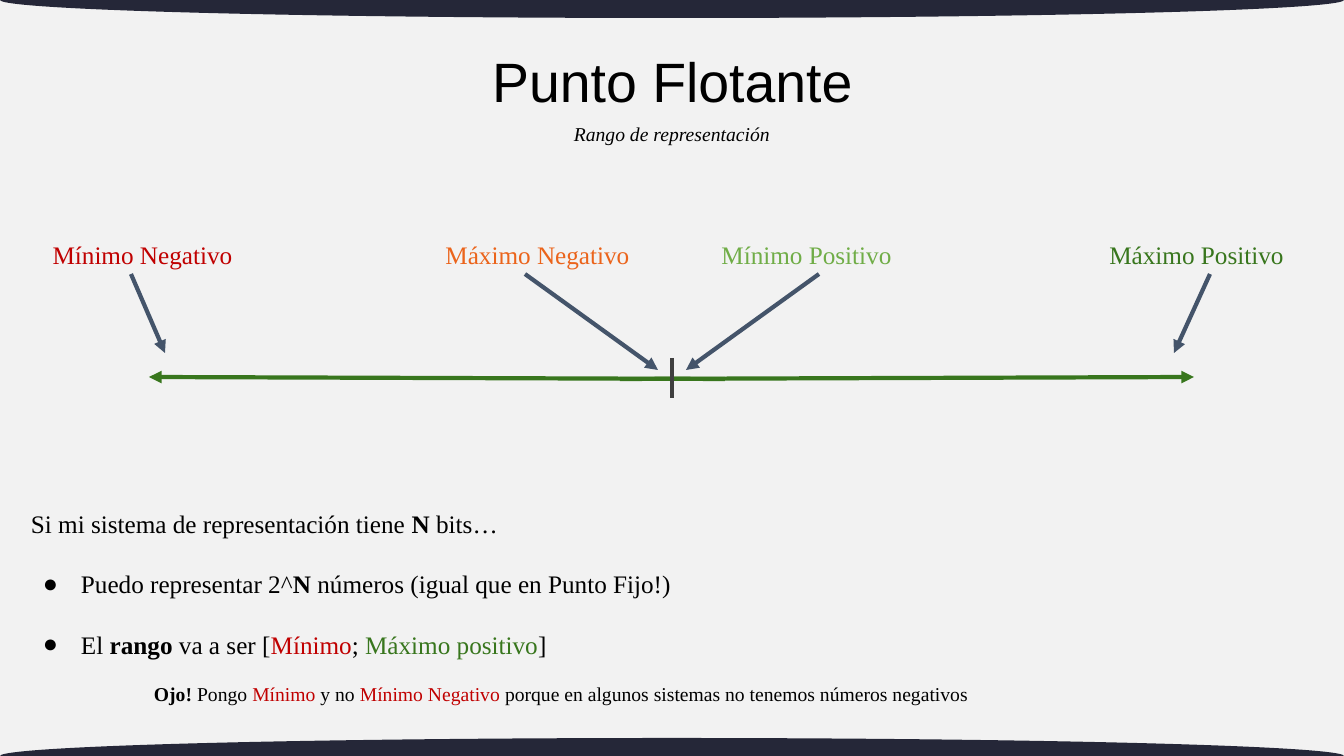
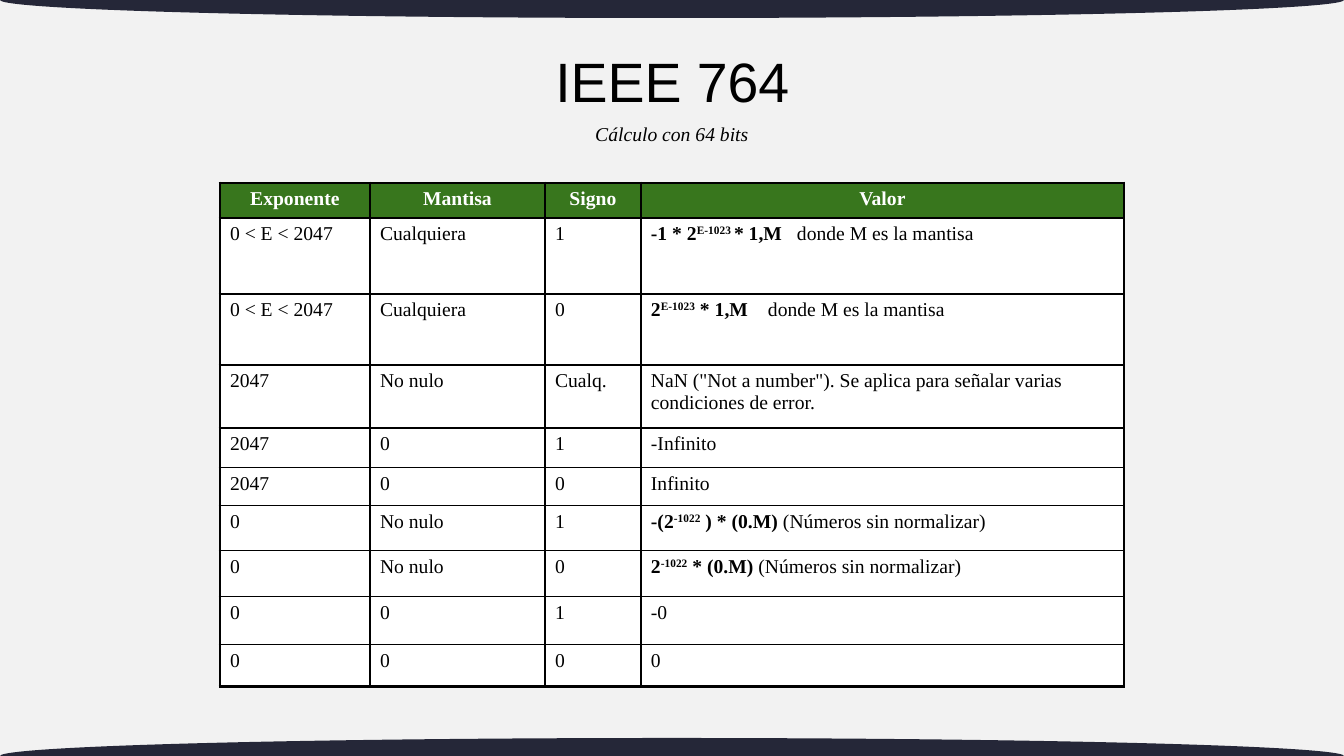
from lxml.etree import SubElement
from pptx import Presentation
from pptx.dml.color import RGBColor
from pptx.enum.shapes import MSO_CONNECTOR, MSO_SHAPE
from pptx.enum.text import MSO_ANCHOR, PP_ALIGN
from pptx.oxml.ns import qn
from pptx.util import Pt

PX = 9071  # EMU in one px
WIDTH, HEIGHT = 1344, 756
SANS, SERIF = "Arial", "Times New Roman"
BLACK, WHITE, PAPER, NAVY = "000000", "FFFFFF", "F2F2F2", "252738"
RED, ORANGE, LIME, GREEN = "C00000", "EB641B", "70AD47", "38761D"
SLATE, GRAY = "44546A", "3F3F3F"
rgb = RGBColor.from_string


def add_frame(slide, left, top, width, height, pad=5):
    """Add a wrapping text box and return its text frame; pad is the top and bottom inset."""
    box = slide.shapes.add_textbox(left * PX, top * PX, width * PX, height * PX)
    frame = box.text_frame
    frame.word_wrap = True
    frame.margin_left = frame.margin_right = 10 * PX
    frame.margin_top = frame.margin_bottom = pad * PX
    return frame


def write(paragraph, runs, size, align=PP_ALIGN.LEFT, face=SERIF):
    """Add (text, colour, marks) runs; marks: b bold, i italic, ^ superscript."""
    paragraph.alignment = align
    for text, color, marks in runs:
        run = paragraph.add_run()
        run.text = text
        run.font.name = face
        run.font.size = Pt(size)
        run.font.color.rgb = rgb(color)
        run.font.bold = "b" in marks
        run.font.italic = "i" in marks
        if "^" in marks:
            run.font._element.set("baseline", "30000")


prs = Presentation()
prs.slide_width, prs.slide_height = WIDTH * PX, HEIGHT * PX
backdrop = prs.slide_master.background.fill
backdrop.solid()
backdrop.fore_color.rgb = rgb(PAPER)

# Shared bands and headings
headings = [("Punto Flotante", "Rango de representación"),
            ("IEEE 764", "Cálculo con 64 bits")]
for title, subtitle in headings:
    slide = prs.slides.add_slide(prs.slide_layouts[6])
    for edge in (0, HEIGHT):
        band = slide.shapes.add_shape(MSO_SHAPE.OVAL, 0, (edge - 18) * PX, WIDTH * PX, 36 * PX)
        band.shadow.inherit = False
        band.fill.solid()
        band.fill.fore_color.rgb = rgb(NAVY)
        band.line.fill.background()
    frame = add_frame(slide, 443, 117, 458, 34)
    write(frame.paragraphs[0], [(subtitle, BLACK, "i")], 14, PP_ALIGN.CENTER)
    frame = add_frame(slide, 346, 37, 653, 95)
    frame.vertical_anchor = MSO_ANCHOR.MIDDLE
    frame.paragraphs[0].line_spacing = 0.9
    write(frame.paragraphs[0], [(title, BLACK, "")], 39.6, PP_ALIGN.CENTER, SANS)
range_slide, ieee_slide = prs.slides

# Number line: two half axes, the zero mark and the four pointers
strokes = [
    (620, 379, 1194, 377, GREEN, True),
    (725, 379, 149, 377, GREEN, True),
    (672, 358, 672, 398, GRAY, False),
    (1210, 274, 1174, 353, SLATE, True),
    (525, 274, 658, 370, SLATE, True),
    (819, 274, 686, 370, SLATE, True),
    (131, 274, 165, 353, SLATE, True),
]
for x1, y1, x2, y2, color, has_arrow in strokes:
    stroke = range_slide.shapes.add_connector(
        MSO_CONNECTOR.STRAIGHT, x1 * PX, y1 * PX, x2 * PX, y2 * PX)
    stroke.line.color.rgb = rgb(color)
    stroke.line.width = Pt(3)
    if has_arrow:
        SubElement(stroke.line._get_or_add_ln(), qn("a:tailEnd"), type="triangle")
    SubElement(stroke._element.spPr, qn("a:effectLst"))

limits = [(14, "Mínimo Negativo", RED), (409, "Máximo Negativo", ORANGE),
          (678, "Mínimo Positivo", LIME), (1068, "Máximo Positivo", GREEN)]
for left, limit, color in limits:
    frame = add_frame(range_slide, left, 229, 257, 40, pad=10)
    write(frame.paragraphs[0], [(limit, color, "")], 18, PP_ALIGN.CENTER)

statements = [
    [("Si mi sistema de representación tiene ", BLACK, ""), ("N ", BLACK, "b"),
     ("bits…", BLACK, "")],
    [("Puedo representar 2^", BLACK, ""), ("N ", BLACK, "b"),
     ("números (igual que en Punto Fijo!)", BLACK, "")],
    [("El ", BLACK, ""), ("rango", BLACK, "b"), (" va a ser [", BLACK, ""),
     ("Mínimo", RED, ""), ("; ", BLACK, ""), ("Máximo positivo", GREEN, ""),
     ("]", BLACK, "")],
]
frame = add_frame(range_slide, 21, 468, 1032, 184, pad=10)
for index, runs in enumerate(statements):
    paragraph = frame.add_paragraph() if index else frame.paragraphs[0]
    if index:
        props = paragraph._p.get_or_add_pPr()
        props.set("marL", str(50 * PX))
        props.set("indent", str(-38 * PX))
        SubElement(SubElement(props, qn("a:buClr")), qn("a:srgbClr"), val=BLACK)
        SubElement(props, qn("a:buFont"), typeface=SERIF)
        SubElement(props, qn("a:buChar"), char="●")
    paragraph.line_spacing = 2.0
    write(paragraph, runs, 18)

warning = [("Ojo! ", BLACK, "b"), ("Pongo ", BLACK, ""), ("Mínimo", RED, ""),
           (" y no ", BLACK, ""), ("Mínimo Negativo", RED, ""),
           (" porque en algunos sistemas no tenemos números negativos", BLACK, "")]
frame = add_frame(range_slide, 144, 672, 1054, 53, pad=10)
write(frame.paragraphs[0], warning, 14)

# Table of 64-bit cases; a value is a list of (text, marks)
cases = [
    ("Exponente", "Mantisa", "Signo", [("Valor", "b")]),
    ("0 < E < 2047", "Cualquiera", "1",
     [("-1 * 2", "b"), ("E-1023 ", "b^"), ("* 1,M", "b"), ("\tdonde M es la mantisa", "")]),
    ("0 < E < 2047", "Cualquiera", "0",
     [("2", "b"), ("E-1023", "b^"), (" * 1,M", "b"), ("\tdonde M es la mantisa", "")]),
    ("2047", "No nulo", "Cualq.",
     [('NaN ("Not a number"). Se aplica para señalar varias condiciones de error.', "")]),
    ("2047", "0", "1", [("-Infinito", "")]),
    ("2047", "0", "0", [("Infinito", "")]),
    ("0", "No nulo", "1",
     [("-(2", "b"), ("-1022", "b^"), (" ) * (0.M)", "b"), (" (Números sin normalizar)", "")]),
    ("0", "No nulo", "0",
     [("2", "b"), ("-1022", "b^"), (" * (0.M)", "b"), (" (Números sin normalizar)", "")]),
    ("0", "0", "1", [("-0", "")]),
    ("0", "0", "0", [("0", "")]),
]
col_widths = [150, 175, 96, 483]
row_heights = [35, 76, 71, 63, 40, 38, 45, 46, 48, 42]
remark_stops = {1: 146, 2: 117}  # row: tab stop before "donde"
last_row, last_col = len(row_heights) - 1, len(col_widths) - 1
table = ieee_slide.shapes.add_table(
    len(row_heights), len(col_widths), 220 * PX, 183 * PX,
    sum(col_widths) * PX, sum(row_heights) * PX).table
table.horz_banding = False
for column, width in zip(table.columns, col_widths):
    column.width = width * PX
for row, height in zip(table.rows, row_heights):
    row.height = height * PX

for r, case in enumerate(cases):
    for c, content in enumerate(case):
        cell = table.cell(r, c)
        props = cell._tc.get_or_add_tcPr()
        outer_sides = {"L": c == 0, "R": c == last_col, "T": r == 0, "B": r == last_row}
        for side, is_outer in outer_sides.items():
            border = SubElement(props, qn(f"a:ln{side}"), w=str(Pt(2.25 if is_outer else 1)))
            SubElement(SubElement(border, qn("a:solidFill")), qn("a:srgbClr"), val=BLACK)
        cell.fill.solid()
        cell.fill.fore_color.rgb = rgb(WHITE if r else GREEN)
        paragraph = cell.text_frame.paragraphs[0]
        if c == last_col and r in remark_stops:
            stops = SubElement(paragraph._p.get_or_add_pPr(), qn("a:tabLst"))
            SubElement(stops, qn("a:tab"), pos=str(remark_stops[r] * PX), algn="l")
        parts = content if c == last_col else [(content, "" if r else "b")]
        runs = [(text, BLACK if r else WHITE, marks) for text, marks in parts]
        write(paragraph, runs, 14, PP_ALIGN.LEFT if r else PP_ALIGN.CENTER)

prs.save("out.pptx")
